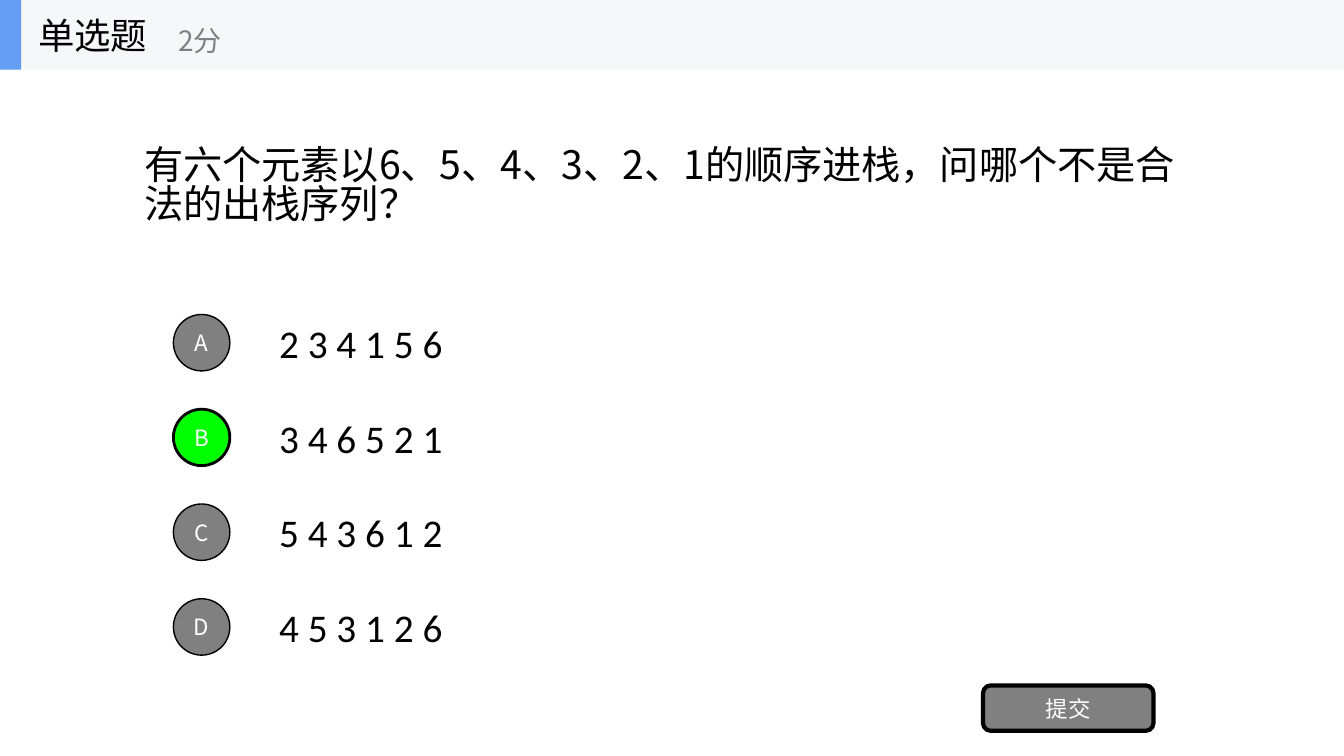
from pptx import Presentation
from pptx.dml.color import RGBColor
from pptx.enum.shapes import MSO_SHAPE
from pptx.enum.text import MSO_ANCHOR, MSO_AUTO_SIZE, PP_ALIGN
from pptx.oxml.ns import qn
from pptx.util import Inches, Pt
from lxml.etree import SubElement

COLORS = {
    "black": "000000", "white": "FFFFFF", "gray": "808080",
    "green": "00FF00", "band": "F6F7F8", "accent": "639EF4",
}
CJK = "Noto Sans CJK SC"
LATIN = "Calibri"


class QuizSlide:
    def __init__(self, presentation):
        self.slide = presentation.slides.add_slide(presentation.slide_layouts[5])

    def set_text(self, shape, text, size, color, font=CJK, align=PP_ALIGN.LEFT):
        frame = shape.text_frame
        frame.text = text
        frame.word_wrap = True
        frame.auto_size = MSO_AUTO_SIZE.NONE
        frame.vertical_anchor = MSO_ANCHOR.MIDDLE
        paragraph = frame.paragraphs[0]
        paragraph.alignment = align
        run = paragraph.runs[0]
        run.font.size = Pt(size)
        run.font.name = font
        run.font.color.rgb = RGBColor.from_string(COLORS[color])
        east_asian = SubElement(run.font._element, qn("a:ea"))
        east_asian.set("typeface", font)
        return paragraph

    def title(self, box, text, size):
        shape = self.slide.shapes.title
        shape.left, shape.top, shape.width, shape.height = map(Inches, box)
        self.set_text(shape, text, size, "black").line_spacing = 0.83

    def text(self, box, text, size, color="black", font=CJK):
        shape = self.slide.shapes.add_textbox(*map(Inches, box))
        self.set_text(shape, text, size, color, font)

    def block(self, kind, box, fill, line_width=0):
        shape = self.slide.shapes.add_shape(kind, *map(Inches, box))
        shape.shadow.inherit = False
        shape.fill.solid()
        shape.fill.fore_color.rgb = RGBColor.from_string(COLORS[fill])
        if line_width:
            shape.line.color.rgb = RGBColor.from_string(COLORS["black"])
            shape.line.width = Pt(line_width)
        else:
            shape.line.fill.background()
        return shape

    def button(self, kind, box, label, fill, line_width):
        shape = self.block(kind, box, fill, line_width)
        frame = shape.text_frame
        frame.margin_left = frame.margin_right = 0
        self.set_text(shape, label, 16, "white", align=PP_ALIGN.CENTER)


def main():
    presentation = Presentation()
    presentation.slide_width = Inches(13.33)
    presentation.slide_height = Inches(7.5)
    quiz = QuizSlide(presentation)

    quiz.title((1.33, 0.69, 10.67, 2.34),
               "有六个元素以6、5、4、3、2、1的顺序进栈，问哪个不是合法的出栈序列？", 28)

    answers = ["2 3 4 1 5 6", "3 4 6 5 2 1", "5 4 3 6 1 2", "4 5 3 1 2 6"]
    correct = "B"
    for index, (letter, answer) in enumerate(zip("ABCD", answers)):
        top = 3.05 + index * 0.94
        fill, line_width = ("green", 2) if letter == correct else ("gray", 1)
        quiz.text((2.67, top, 9.33, 0.7), answer, 28, font=LATIN)
        quiz.button(MSO_SHAPE.OVAL, (1.72, top + 0.07, 0.56, 0.56), letter, fill, line_width)

    quiz.button(MSO_SHAPE.ROUNDED_RECTANGLE, (9.75, 6.8, 1.69, 0.45), "提交", "gray", 3)

    quiz.block(MSO_SHAPE.RECTANGLE, (0, 0, 13.33, 0.69), "band")
    quiz.block(MSO_SHAPE.RECTANGLE, (0, 0, 0.21, 0.69), "accent")
    quiz.text((0.28, 0, 2.08, 0.69), "单选题", 26)
    quiz.text((1.67, 0.12, 2.5, 0.56), "2分", 20, "gray")

    presentation.save("out.pptx")


if __name__ == "__main__":
    main()
